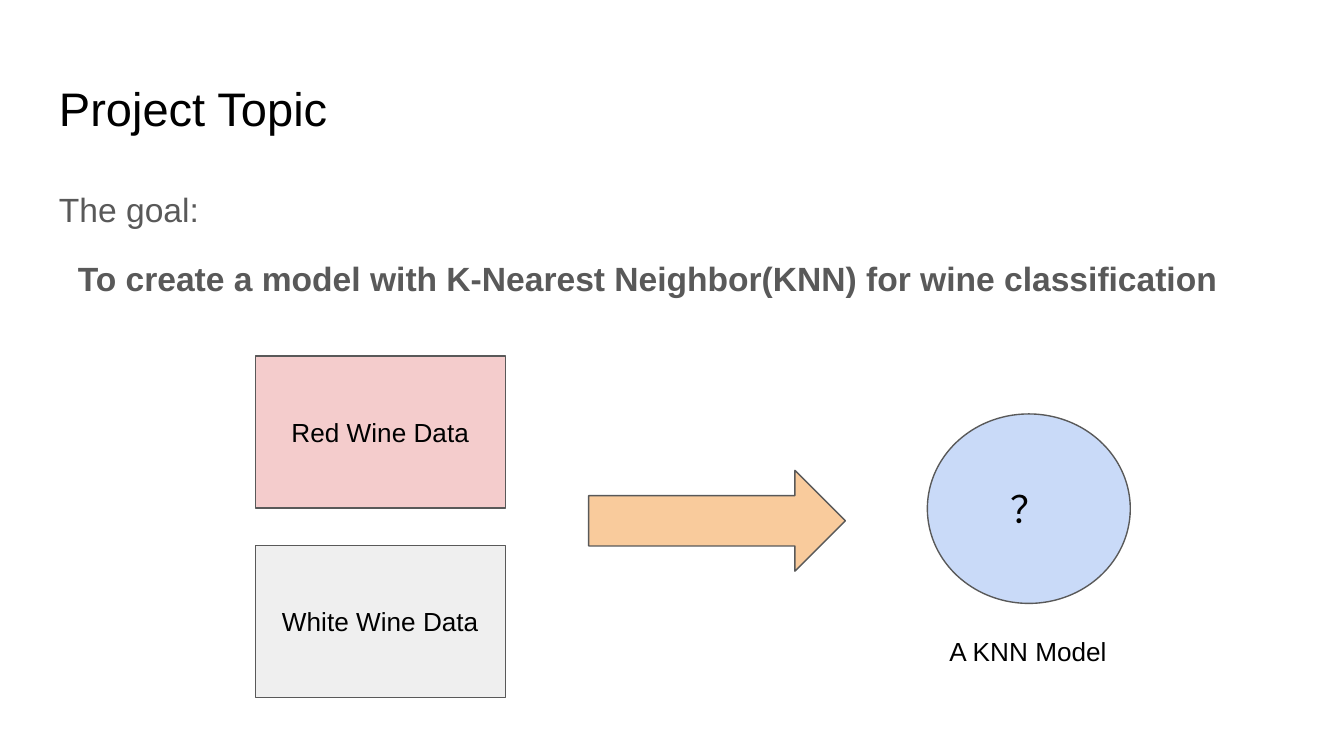
from dataclasses import dataclass

from pptx import Presentation
from pptx.dml.color import RGBColor
from pptx.enum.shapes import MSO_SHAPE as Preset
from pptx.enum.text import MSO_ANCHOR as Anchor, PP_ALIGN as Align
from pptx.slide import Slide
from pptx.text.text import TextFrame
from pptx.util import Inches, Pt

BLACK = RGBColor(0x00, 0x00, 0x00)
GRAY = RGBColor(0x59, 0x59, 0x59)
RED_WINE = RGBColor(0xF4, 0xCC, 0xCC)
WHITE_WINE = RGBColor(0xEF, 0xEF, 0xEF)
MODEL_BLUE = RGBColor(0xC9, 0xDA, 0xF8)
ARROW_ORANGE = RGBColor(0xF9, 0xCB, 0x9C)

FONT = "Arial"
SLIDE_WIDTH = Inches(10)
SLIDE_HEIGHT = SLIDE_WIDTH * 9 // 16
MARGIN_LEFT, CONTENT_WIDTH = 0.34, 9.32
DATA_LEFT, DATA_TOP, DATA_STEP = 1.9, 2.65, 1.41
DATA_WIDTH, DATA_HEIGHT = 1.86, 1.13


@dataclass(frozen=True)
class Line:
    text: str
    size: float
    color: RGBColor = BLACK
    bold: bool = False
    align: Align = Align.LEFT
    line_spacing: float = 1.0
    space: float = 0
    indent: float = 0


@dataclass(frozen=True)
class Node:
    preset: Preset
    left: float
    top: float
    width: float
    height: float
    fill: RGBColor
    label: str = ""
    size: float = 14


def write_lines(frame: TextFrame, lines: list[Line]) -> None:
    frame.word_wrap = True
    frame.margin_left = frame.margin_right = Inches(0.1)
    frame.margin_top = frame.margin_bottom = Inches(0.1)
    for index, line in enumerate(lines):
        paragraph = frame.add_paragraph() if index else frame.paragraphs[0]
        paragraph.alignment = line.align
        paragraph.line_spacing = line.line_spacing
        paragraph.space_before = paragraph.space_after = Pt(line.space)
        if line.indent:
            paragraph._p.get_or_add_pPr().set("marL", str(Inches(line.indent)))
        run = paragraph.add_run()
        run.text = line.text
        run.font.name = FONT
        run.font.size = Pt(line.size)
        run.font.bold = line.bold
        run.font.color.rgb = line.color


def add_text(slide: Slide, left: float, top: float, width: float,
             height: float, lines: list[Line]) -> None:
    box = slide.shapes.add_textbox(
        Inches(left), Inches(top), Inches(width), Inches(height))
    write_lines(box.text_frame, lines)


def add_node(slide: Slide, node: Node) -> None:
    shape = slide.shapes.add_shape(
        node.preset, Inches(node.left), Inches(node.top),
        Inches(node.width), Inches(node.height))
    shape.shadow.inherit = False
    shape.fill.solid()
    shape.fill.fore_color.rgb = node.fill
    shape.line.color.rgb = GRAY
    shape.line.width = Pt(0.75)
    if node.label:
        shape.text_frame.vertical_anchor = Anchor.MIDDLE
        write_lines(shape.text_frame,
                    [Line(node.label, node.size, align=Align.CENTER)])


def main() -> None:
    deck = Presentation()
    deck.slide_width, deck.slide_height = SLIDE_WIDTH, SLIDE_HEIGHT
    slide = deck.slides.add_slide(deck.slide_layouts[6])

    add_text(slide, MARGIN_LEFT, 0.49, CONTENT_WIDTH, 0.63,
             [Line("Project Topic", 25.2)])
    add_text(slide, MARGIN_LEFT, 1.26, CONTENT_WIDTH, 3.74, [
        Line("The goal:", 18, GRAY, line_spacing=1.15),
        Line("To create a model with K-Nearest Neighbor(KNN) for wine classification",
             18, GRAY, bold=True, line_spacing=1.15, space=12, indent=0.14),
    ])

    data_sets = [("Red Wine Data", RED_WINE), ("White Wine Data", WHITE_WINE)]
    for row, (label, fill) in enumerate(data_sets):
        add_node(slide, Node(Preset.RECTANGLE, DATA_LEFT, DATA_TOP + row * DATA_STEP,
                             DATA_WIDTH, DATA_HEIGHT, fill, label))
    add_node(slide, Node(Preset.OVAL, 6.9, 3.08, 1.51, 1.41, MODEL_BLUE, "？", 20))
    add_node(slide, Node(Preset.RIGHT_ARROW, 4.38, 3.5, 1.91, 0.75, ARROW_ORANGE))
    add_text(slide, 6.95, 4.63, 1.4, 0.44,
             [Line("A KNN Model", 14, align=Align.CENTER)])

    deck.save("out.pptx")


if __name__ == "__main__":
    main()
